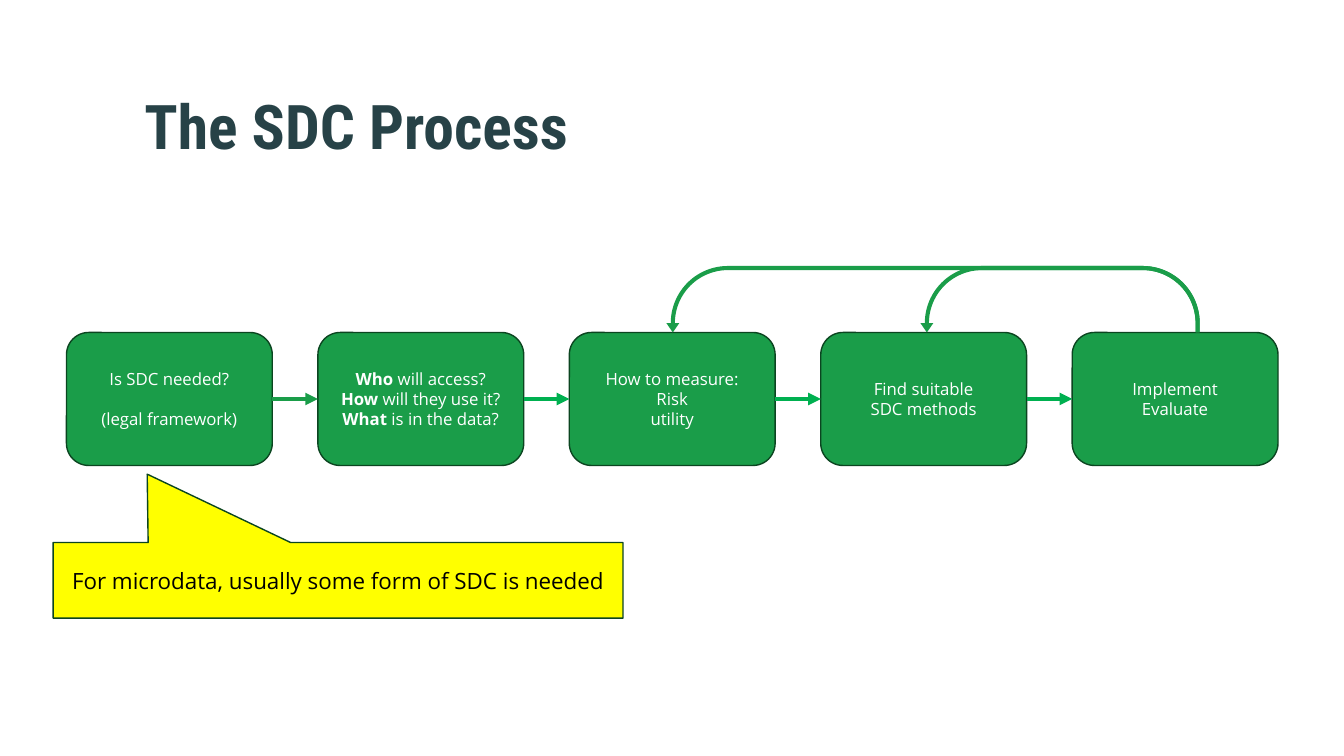
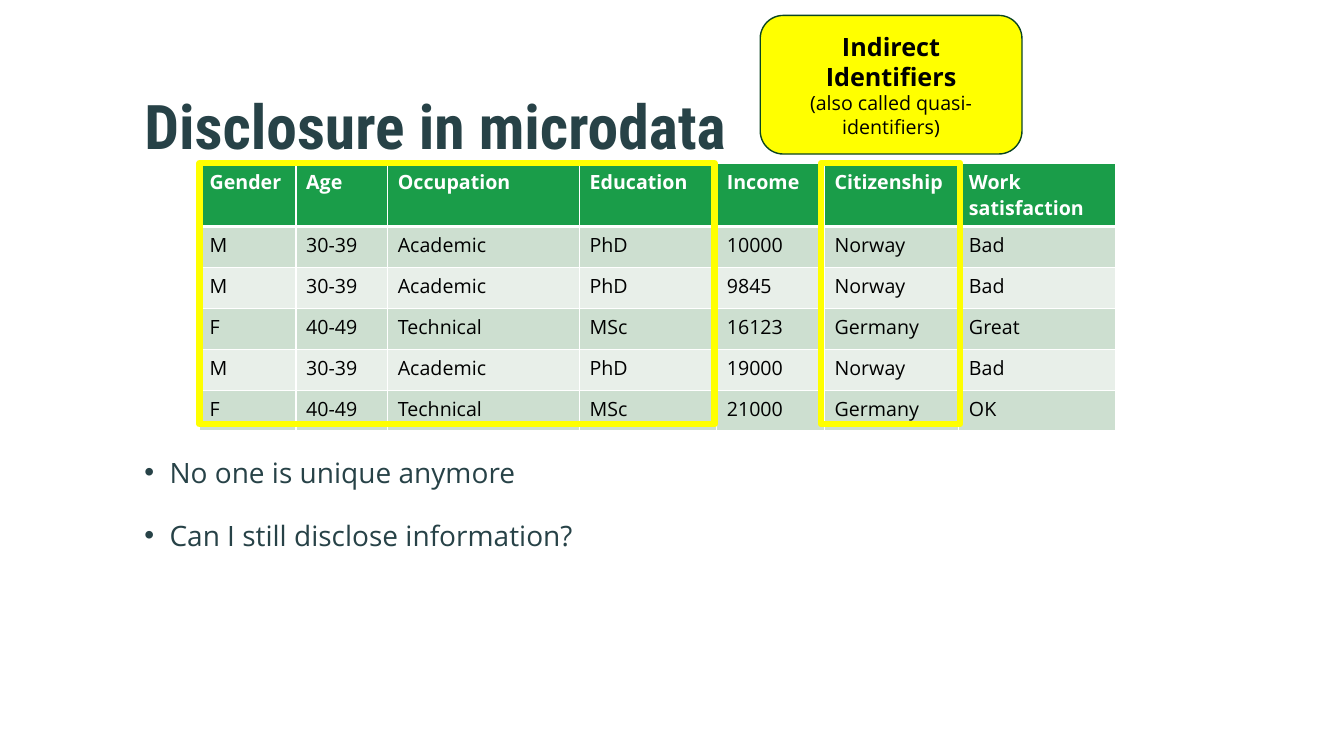
from lxml import etree
from pptx import Presentation
from pptx.dml.color import RGBColor
from pptx.enum import shapes as kinds, text as txt
from pptx.oxml import ns
from pptx.util import Pt

GREEN = RGBColor(0x1A, 0x9D, 0x49)
LEAF = RGBColor(0x00, 0xB0, 0x50)
EDGE = RGBColor(0x0B, 0x45, 0x20)
SLATE = RGBColor(0x27, 0x42, 0x47)
YELLOW = RGBColor(0xFF, 0xFF, 0x00)
WHITE = RGBColor(0xFF, 0xFF, 0xFF)
BLACK = RGBColor(0x00, 0x00, 0x00)
MINT = RGBColor(0xCD, 0xDF, 0xD0)
PALE = RGBColor(0xE8, 0xEF, 0xE9)
BODY, HEAD = "Open Sans", "Roboto Condensed"
LEAD = 1.2  # line pitch as a share of the text size
KIND = kinds.MSO_SHAPE
MID = txt.PP_ALIGN.CENTER


# Shared helpers
def style(run, size, color, bold=False, font=BODY):
    run.font.size, run.font.name = Pt(size), font
    run.font.bold, run.font.color.rgb = bold, color


def add_sub(node, tag, **attrs):
    return etree.SubElement(node, ns.qn(tag), **attrs)


def add_text(shape, lines, color):
    """Centre lines in a shape; each line is (size, [(text, bold), ...])."""
    frame = shape.text_frame
    frame.word_wrap = True
    frame.vertical_anchor = txt.MSO_ANCHOR.MIDDLE
    for i, (size, runs) in enumerate(lines):
        para = frame.paragraphs[0] if i == 0 else frame.add_paragraph()
        para.alignment = MID
        para.line_spacing = Pt(size * LEAD)
        for words, bold in runs:
            run = para.add_run()
            run.text = words
            style(run, size, color, bold)


def add_form(slide, kind, box, fill=None, line=None, width=1):
    form = slide.shapes.add_shape(kind, *map(Pt, box))
    form.shadow.inherit = False
    if fill is None:
        form.fill.background()
    else:
        form.fill.solid()
        form.fill.fore_color.rgb = fill
    if line is None:
        form.line.fill.background()
    else:
        form.line.color.rgb, form.line.width = line, Pt(width)
    return form


def add_title(slide, words):
    box = slide.shapes.add_textbox(Pt(96), Pt(43), Pt(760), Pt(103))
    frame = box.text_frame
    frame.word_wrap = True
    frame.vertical_anchor = txt.MSO_ANCHOR.MIDDLE
    frame.margin_top = 0
    frame.text = words
    para = frame.paragraphs[0]
    para.line_spacing = 0.9
    style(para.runs[0], 44, SLATE, True, HEAD)


# Process slide
STEPS = [
    [[("Is SDC needed?", False)], [("(legal framework)", False)]],
    [[("Who", True), (" will access?", False)],
     [("How", True), (" will they use it?", False)],
     [("What", True), (" is in the data?", False)]],
    [[("How to measure:", False)], [("Risk", False)], [("utility", False)]],
    [[("Find suitable", False)], [("SDC methods", False)]],
    [[("Implement", False)], [("Evaluate", False)]],
]


def add_link(slide, start, end, color):
    link = slide.shapes.add_connector(kinds.MSO_CONNECTOR.STRAIGHT, 0, 0, 0, 0)
    link.begin_connect(start, 3)
    link.end_connect(end, 1)
    link.line.color.rgb, link.line.width = color, Pt(3)
    add_sub(link.line._get_or_add_ln(), "a:tailEnd", type="triangle")
    add_sub(link._element.spPr, "a:effectLst")


def add_flow(slide, left, top, wide, high, pitch):
    cards = []
    for i, step in enumerate(STEPS):
        box = (left + i * pitch, top, wide, high)
        card = add_form(slide, KIND.ROUNDED_RECTANGLE, box, GREEN, EDGE)
        add_text(card, [(12, runs) for runs in step], WHITE)
        cards.append(card)
    # One line of space above the legal remark
    cards[0].text_frame.paragraphs[1].space_before = Pt(12 * LEAD)
    for i, (start, end) in enumerate(zip(cards, cards[1:])):
        add_link(slide, start, end, LEAF if i else GREEN)


def add_loop(slide, left, right, top, high):
    loop = add_form(slide, KIND.U_TURN_ARROW,
                    (left, top, right - left, high), GREEN)
    for i, part in enumerate((0.062, 0.097, 0.142, 0.858, 1)):
        loop.adjustments[i] = part
    loop._element.spPr.get_or_add_xfrm().set("flipH", "1")


def add_note(slide, box):
    note = add_form(slide, KIND.RECTANGULAR_CALLOUT, box, YELLOW, EDGE)
    note.adjustments[0], note.adjustments[1] = -0.335, -1.404
    words = "For microdata, usually some form of SDC is needed"
    add_text(note, [(16, [(words, False)])], BLACK)


def process(slide):
    add_title(slide, "The SDC Process")
    add_flow(slide, 47.5, 237.5, 147, 95, 179.6)
    for left in (657.5, 476):
        add_loop(slide, left, 857, 190, 47.5)
    add_note(slide, (38, 387.5, 407, 54))


# Microdata slide
COLS = (69, 65.5, 137, 98, 77, 96, 112)
ROWS = [
    ("Gender", "Age", "Occupation", "Education", "Income", "Citizenship",
     "Work satisfaction"),
    ("M", "30-39", "Academic", "PhD", "10000", "Norway", "Bad"),
    ("M", "30-39", "Academic", "PhD", "9845", "Norway", "Bad"),
    ("F", "40-49", "Technical", "MSc", "16123", "Germany", "Great"),
    ("M", "30-39", "Academic", "PhD", "19000", "Norway", "Bad"),
    ("F", "40-49", "Technical", "MSc", "21000", "Germany", "OK"),
]


def add_rule(cell, side, width):
    line = add_sub(cell._tc.get_or_add_tcPr(), "a:ln" + side,
                   w=str(Pt(width)))
    fill = add_sub(line, "a:solidFill")
    add_sub(fill, "a:srgbClr", val=str(WHITE))


def fill_cell(cell, words, row):
    head = row == 0
    thick = {"T": 3 if row == 1 else 1, "B": 3 if head else 1}
    for side in "LRTB":
        add_rule(cell, side, thick.get(side, 1))
    cell.fill.solid()
    cell.fill.fore_color.rgb = GREEN if head else MINT if row % 2 else PALE
    cell.text_frame.text = words
    run = cell.text_frame.paragraphs[0].runs[0]
    style(run, 14, WHITE if head else BLACK, head)


def add_grid(slide, left, top):
    heights = [45.4] + [29.2] * (len(ROWS) - 1)
    grid = slide.shapes.add_table(
        len(ROWS), len(COLS), Pt(left), Pt(top),
        Pt(sum(COLS)), Pt(sum(heights))).table
    for col, wide in zip(grid.columns, COLS):
        col.width = Pt(wide)
    for i, (row, high) in enumerate(zip(ROWS, heights)):
        grid.rows[i].height = Pt(high)
        for j, words in enumerate(row):
            fill_cell(grid.cell(i, j), words, i)
    # Frames around the indirect identifiers
    for shift, wide in ((0, 368), (444, 99.5)):
        add_form(slide, KIND.RECTANGLE, (left + shift, top, wide, 186.5),
                 None, YELLOW, 4.5)


def add_list(slide, box, lines):
    frame = slide.shapes.add_textbox(*map(Pt, box)).text_frame
    frame.word_wrap = True
    frame.text = "\n".join(lines)
    for para in frame.paragraphs:
        para.line_spacing, para.space_after = Pt(36), Pt(9)
        style(para.runs[0], 20, SLATE)
        props = para._p.get_or_add_pPr()
        props.set("marL", str(Pt(18)))
        props.set("indent", str(Pt(-18)))
        add_sub(props, "a:buFont", typeface="Arial")
        add_sub(props, "a:buChar", char="•")


def add_badge(slide, box):
    badge = add_form(slide, KIND.ROUNDED_RECTANGLE, box, YELLOW, EDGE)
    add_text(badge, [(18, [("Indirect Identifiers", True)]),
                     (14, [("(also called quasi-identifiers)", False)])],
             BLACK)


def microdata(slide):
    add_title(slide, "Disclosure in microdata")
    add_list(slide, (96, 309.5, 760, 150.5),
             ["No one is unique anymore", "Can I still disclose information?"])
    add_grid(slide, 142.5, 116.5)
    add_badge(slide, (543, 11, 187, 99))


def main():
    deck = Presentation()
    deck.slide_width, deck.slide_height = Pt(960), Pt(540)
    for build in (process, microdata):
        build(deck.slides.add_slide(deck.slide_layouts[6]))
    deck.save("out.pptx")


if __name__ == "__main__":
    main()
